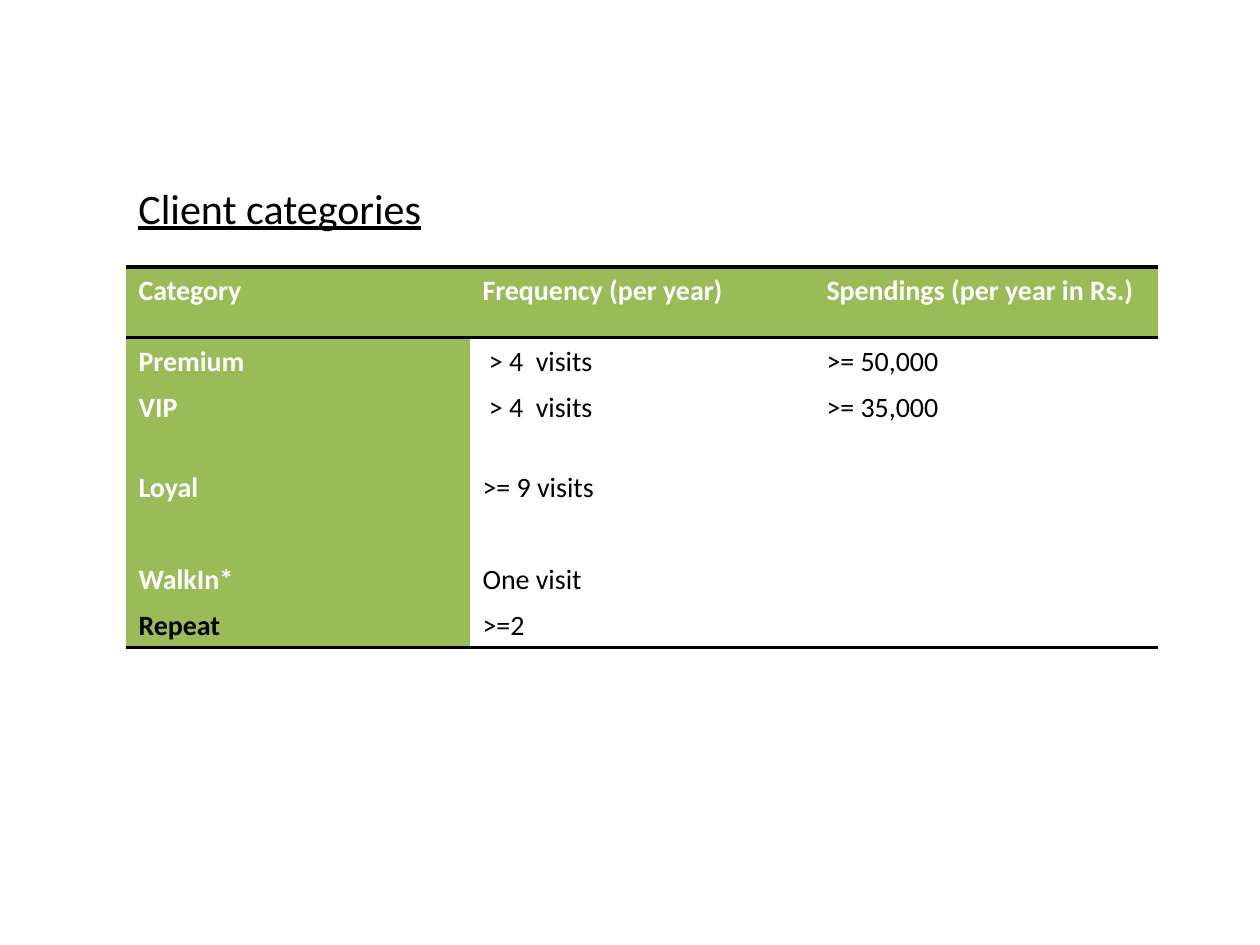
from lxml import etree
from pptx import Presentation
from pptx.dml.color import RGBColor
from pptx.enum.text import MSO_AUTO_SIZE
from pptx.oxml.ns import qn
from pptx.util import Pt

PIXEL = 914400 // 126
BLACK = RGBColor(0x00, 0x00, 0x00)
WHITE = RGBColor(0xFF, 0xFF, 0xFF)
GREEN = RGBColor(0x9B, 0xBB, 0x59)
NO_AUTO_SIZE = MSO_AUTO_SIZE.NONE
NO_STYLE = "{2D5ABB26-0587-4C30-8999-92F81FD0307C}"
FONT = "Calibri"

COLUMN_WIDTH = 344
ROWS = [
    (71, ["Category", "Frequency (per year)", "Spendings (per year in Rs.)"]),
    (46, ["Premium", " > 4  visits", ">= 50,000"]),
    (80, ["VIP", " > 4  visits", ">= 35,000"]),
    (46, ["Loyal", ">= 9 visits", ""]),
    (46, ["", "", ""]),
    (46, ["WalkIn*", "One visit", ""]),
    (46, ["Repeat", ">=2", ""]),
]
LAST_ROW = len(ROWS) - 1
RULED_EDGES = {0, 1, len(ROWS)}


def add_borders(cell, row_index):
    properties = cell._tc.get_or_add_tcPr()
    for position, tag in enumerate(["a:lnT", "a:lnB"]):
        line = etree.Element(qn(tag), w=str(Pt(2)))
        if row_index + position in RULED_EDGES:
            fill = etree.SubElement(line, qn("a:solidFill"))
            etree.SubElement(fill, qn("a:srgbClr"), val=str(BLACK))
        else:
            etree.SubElement(line, qn("a:noFill"))
        properties.insert(position, line)


presentation = Presentation()
presentation.slide_width = 1260 * PIXEL
presentation.slide_height = 945 * PIXEL
slide = presentation.slides.add_slide(presentation.slide_layouts[6])

table_height = sum(height for height, texts in ROWS)
table = slide.shapes.add_table(
    len(ROWS), 3, 126 * PIXEL, 267 * PIXEL,
    3 * COLUMN_WIDTH * PIXEL, table_height * PIXEL).table
table.first_row = False
table.horz_banding = False
table._tbl.tblPr.find(qn("a:tableStyleId")).text = NO_STYLE
for column in table.columns:
    column.width = COLUMN_WIDTH * PIXEL

for row_index, (height, texts) in enumerate(ROWS):
    table.rows[row_index].height = height * PIXEL
    for column_index, text in enumerate(texts):
        cell = table.cell(row_index, column_index)
        heading = row_index == 0 or column_index == 0
        cell.margin_top = 7 * PIXEL
        cell.margin_bottom = 4 * PIXEL
        cell.fill.solid()
        cell.fill.fore_color.rgb = GREEN if heading else WHITE
        add_borders(cell, row_index)
        paragraph = cell.text_frame.paragraphs[0]
        if text:
            paragraph.text = text
            font = paragraph.runs[0].font
            font.name = FONT
            font.size = Pt(16)
            font.bold = heading
            font.color.rgb = WHITE if heading and row_index < LAST_ROW else BLACK
        else:
            etree.SubElement(paragraph._p, qn("a:endParaRPr"), sz="1600")

title = slide.shapes.add_textbox(126 * PIXEL, 176 * PIXEL, 312 * PIXEL, 63 * PIXEL)
title.text_frame.word_wrap = True
title.text_frame.auto_size = NO_AUTO_SIZE
title.text_frame.text = "Client categories"
title_font = title.text_frame.paragraphs[0].runs[0].font
title_font.name = FONT
title_font.size = Pt(24)
title_font.underline = True
title_font.color.rgb = BLACK

presentation.save("out.pptx")
